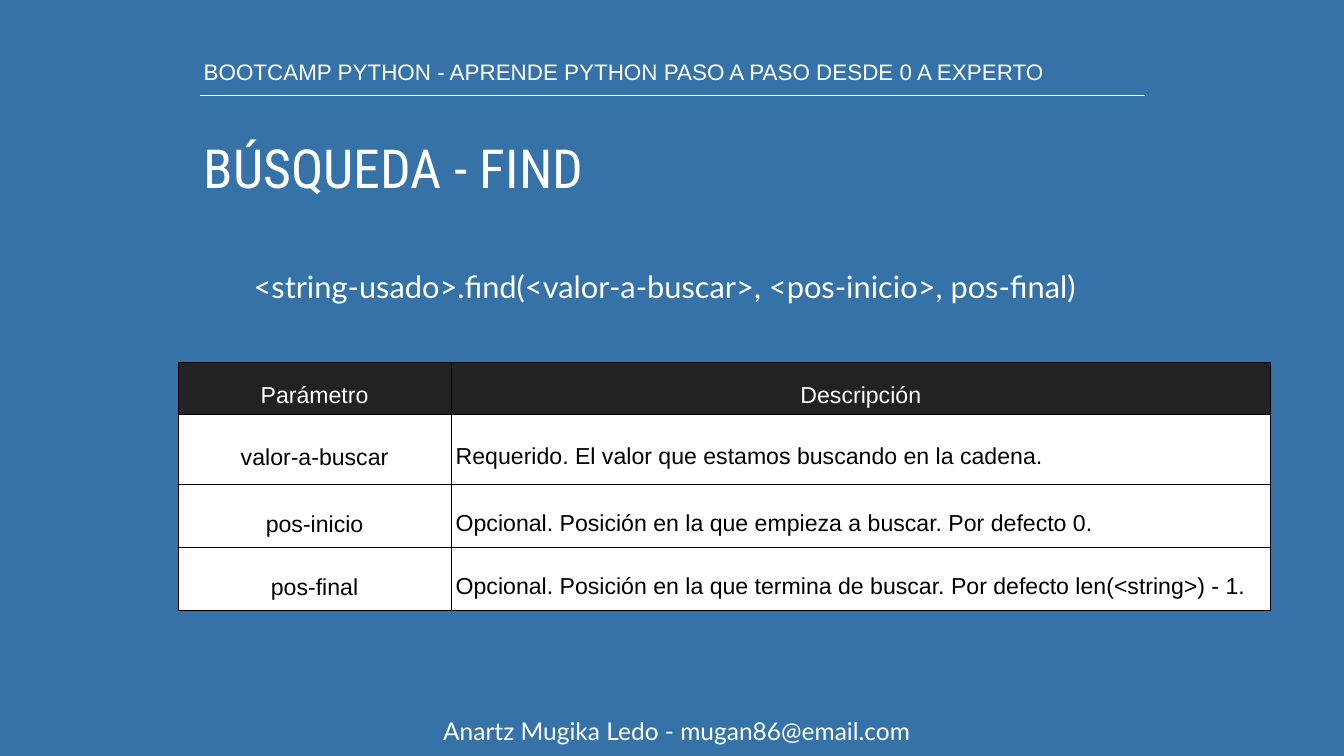
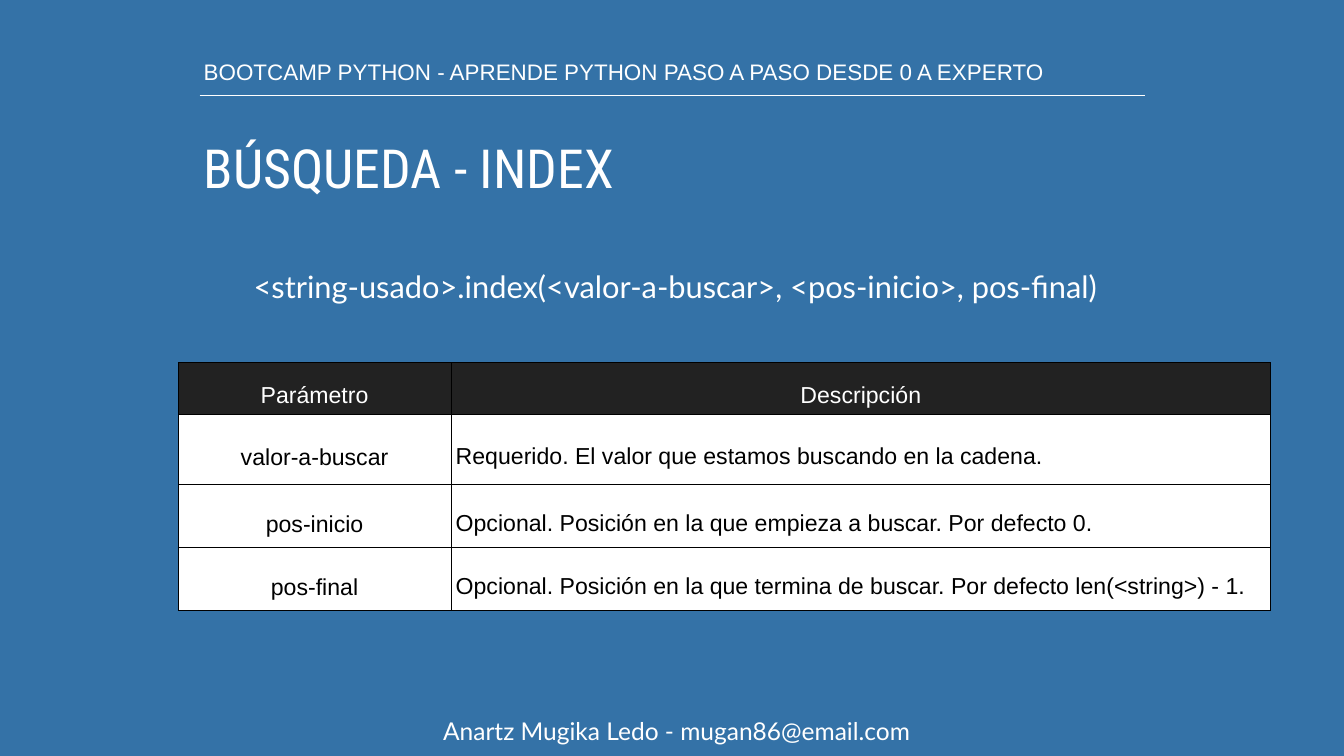
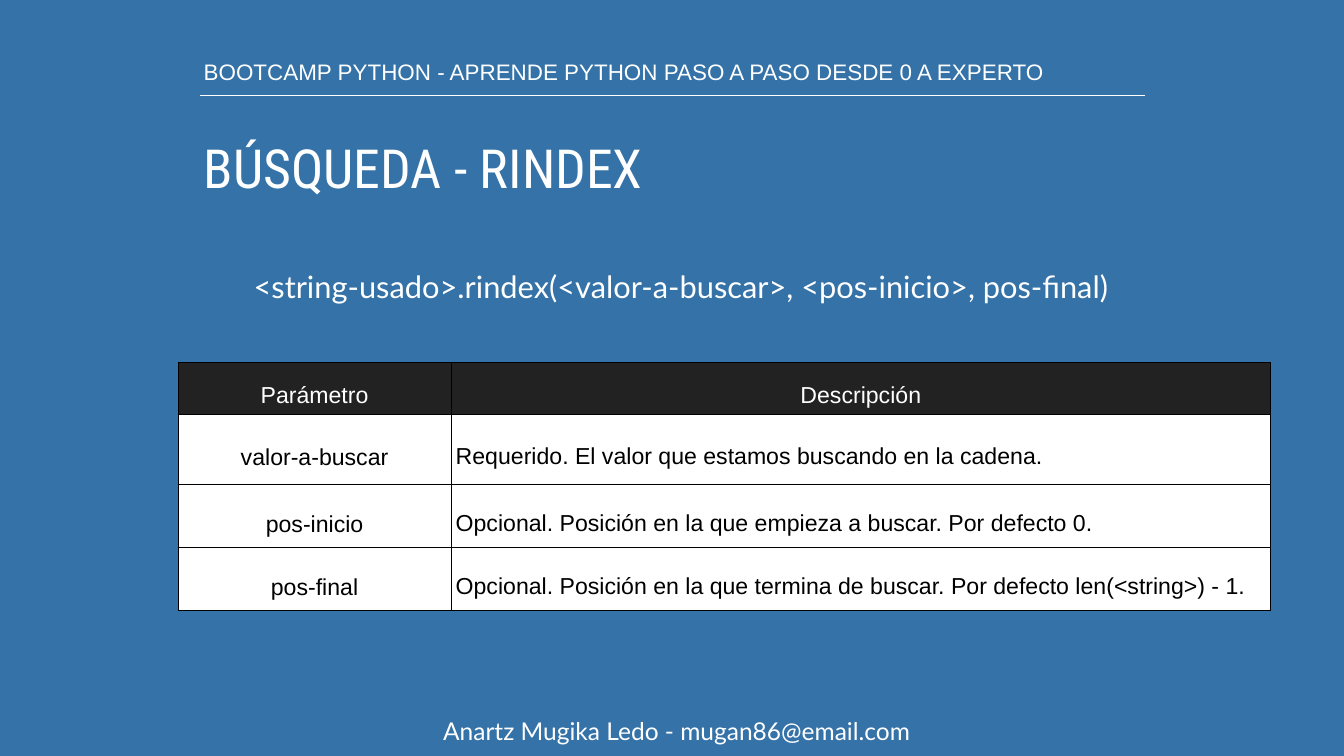
import pptx
import pptx.dml.color
import pptx.enum.shapes
import pptx.enum.text
import pptx.oxml
import pptx.oxml.ns
import pptx.util

RGBColor = pptx.dml.color.RGBColor
BLUE = RGBColor(0x34, 0x72, 0xA7)
WHITE = RGBColor(0xFF, 0xFF, 0xFF)
BLACK = RGBColor(0, 0, 0)
CHARCOAL = RGBColor(0x22, 0x22, 0x22)

ANCHOR = pptx.enum.text.MSO_ANCHOR
FIT = pptx.enum.text.MSO_AUTO_SIZE
LEFT = pptx.enum.text.PP_ALIGN.LEFT
CENTER = pptx.enum.text.PP_ALIGN.CENTER
Pt = pptx.util.Pt

EMU_PER_PX = 9144
SIDES = ("left", "right", "top", "bottom")

COURSE = "BOOTCAMP PYTHON - APRENDE PYTHON PASO A PASO DESDE 0 A EXPERTO"
AUTHOR = "Anartz Mugika Ledo - mugan86@email.com"
PARAMETERS = (
    ("Parámetro", "Descripción"),
    ("valor-a-buscar", "Requerido. El valor que estamos buscando en la cadena."),
    ("pos-inicio", "Opcional. Posición en la que empieza a buscar. Por defecto 0."),
    ("pos-final", "Opcional. Posición en la que termina de buscar. Por defecto len(<string>) - 1."),
)
METHODS = (("find", 1753), ("index", 1799), ("rindex", 1824))


def px(length):
    return pptx.util.Emu(length * EMU_PER_PX)


def assign(target, values):
    for name, value in values.items():
        setattr(target, name, value)


class SearchDeck:
    styles = {
        "course": {"name": "Arial", "size": Pt(32)},
        "title": {"name": "Roboto Condensed", "size": Pt(77)},
        "syntax": {"name": "Lato", "size": Pt(44)},
        "footer": {"name": "Lato", "size": Pt(35)},
        "cell": {"name": "Arial", "size": Pt(33)},
    }
    spacing = {
        "course": {"line_spacing": 0.8},
        "title": {"line_spacing": 0.8, "space_before": Pt(36)},
        "syntax": {"space_before": Pt(10)},
        "footer": {"line_spacing": 0.7, "space_before": Pt(39), "alignment": CENTER},
    }
    frames = {
        "course": {"vertical_anchor": ANCHOR.BOTTOM, "auto_size": FIT.SHAPE_TO_FIT_TEXT},
        "title": {"vertical_anchor": ANCHOR.TOP},
        "syntax": {"vertical_anchor": ANCHOR.MIDDLE, "auto_size": FIT.SHAPE_TO_FIT_TEXT,
                   "word_wrap": False},
        "footer": {"vertical_anchor": ANCHOR.BOTTOM, "auto_size": FIT.SHAPE_TO_FIT_TEXT},
    }

    def __init__(self):
        self.deck = pptx.Presentation()
        assign(self.deck, {"slide_width": px(2666), "slide_height": px(1500)})
        self.page = None

    def add_page(self):
        self.page = self.deck.slides.add_slide(self.deck.slide_layouts[6])
        fill = self.page.background.fill
        fill.solid()
        fill.fore_color.rgb = BLUE

    def add_span(self, para, text, style, color, spacing):
        assign(para, spacing)
        span = para.add_run()
        span.text = text
        assign(span.font, self.styles[style])
        span.font.color.rgb = color

    def add_text(self, text, style, left, top, width, height):
        box = self.page.shapes.add_textbox(px(left), px(top), px(width), px(height))
        frame = box.text_frame
        margins = {f"margin_{side}": px(8) for side in SIDES}
        assign(frame, {"word_wrap": True, **margins, **self.frames[style]})
        self.add_span(frame.paragraphs[0], text, style, WHITE, self.spacing[style])

    def add_rule(self, left, right, top):
        rule = self.page.shapes.add_connector(
            pptx.enum.shapes.MSO_CONNECTOR.STRAIGHT, px(left), px(top), px(right), px(top))
        rule.line.color.rgb = WHITE
        rule.line.width = Pt(2)
        properties = rule._element.spPr
        properties.append(properties.makeelement(pptx.oxml.ns.qn("a:effectLst"), {}))

    def add_borders(self, cell):
        properties = cell._tc.get_or_add_tcPr()
        for side in "LRTB":
            properties.append(pptx.oxml.parse_xml(
                f'<a:ln{side} {pptx.oxml.ns.nsdecls("a")} w="{Pt(0.45)}"><a:solidFill>'
                f'<a:srgbClr val="{BLACK}"/></a:solidFill></a:ln{side}>'))

    def add_table(self, rows, left, top, widths, heights):
        table = self.page.shapes.add_table(
            len(rows), len(widths), px(left), px(top), px(sum(widths)), px(sum(heights))).table
        assign(table, {"first_row": False, "horz_banding": False})
        for column, width in zip(table.columns, widths):
            column.width = px(width)
        for row, height in zip(table.rows, heights):
            row.height = px(height)
        for row_index, texts in enumerate(rows):
            is_header = row_index == 0
            for column_index, text in enumerate(texts):
                is_name = column_index == 0 and not is_header
                cell = table.cell(row_index, column_index)
                assign(cell, {"vertical_anchor": ANCHOR.MIDDLE, "margin_left": px(9),
                              "margin_right": px(9), "margin_top": px(5), "margin_bottom": px(5)})
                self.add_borders(cell)
                cell.fill.solid()
                cell.fill.fore_color.rgb = CHARCOAL if is_header else WHITE
                spacing = {"alignment": CENTER if is_header or is_name else LEFT,
                           "line_spacing": Pt(61 if is_name else 58),
                           "space_before": Pt(18 if is_name else 0)}
                self.add_span(cell.text_frame.paragraphs[0], text, "cell",
                              WHITE if is_header else BLACK, spacing)

    def add_method_page(self, method, syntax_width):
        self.add_page()
        self.add_rule(396, 2271, 190)
        self.add_text(AUTHOR, "footer", 21, 1429, 2643, 56)
        self.add_text(f"BÚSQUEDA - {method.upper()}", "title", 396, 283, 1951, 123)
        self.add_text(COURSE, "course", 396, 119, 1719, 58)
        self.add_text(f"<string-usado>.{method}(<valor-a-buscar>, <pos-inicio>, pos-final)",
                      "syntax", 495, 523, syntax_width, 89)
        self.add_table(PARAMETERS, 353, 719, (542, 1625), (103, 139, 125, 125))


def main():
    search = SearchDeck()
    for method, syntax_width in METHODS:
        search.add_method_page(method, syntax_width)
    search.deck.save("out.pptx")


if __name__ == "__main__":
    main()
